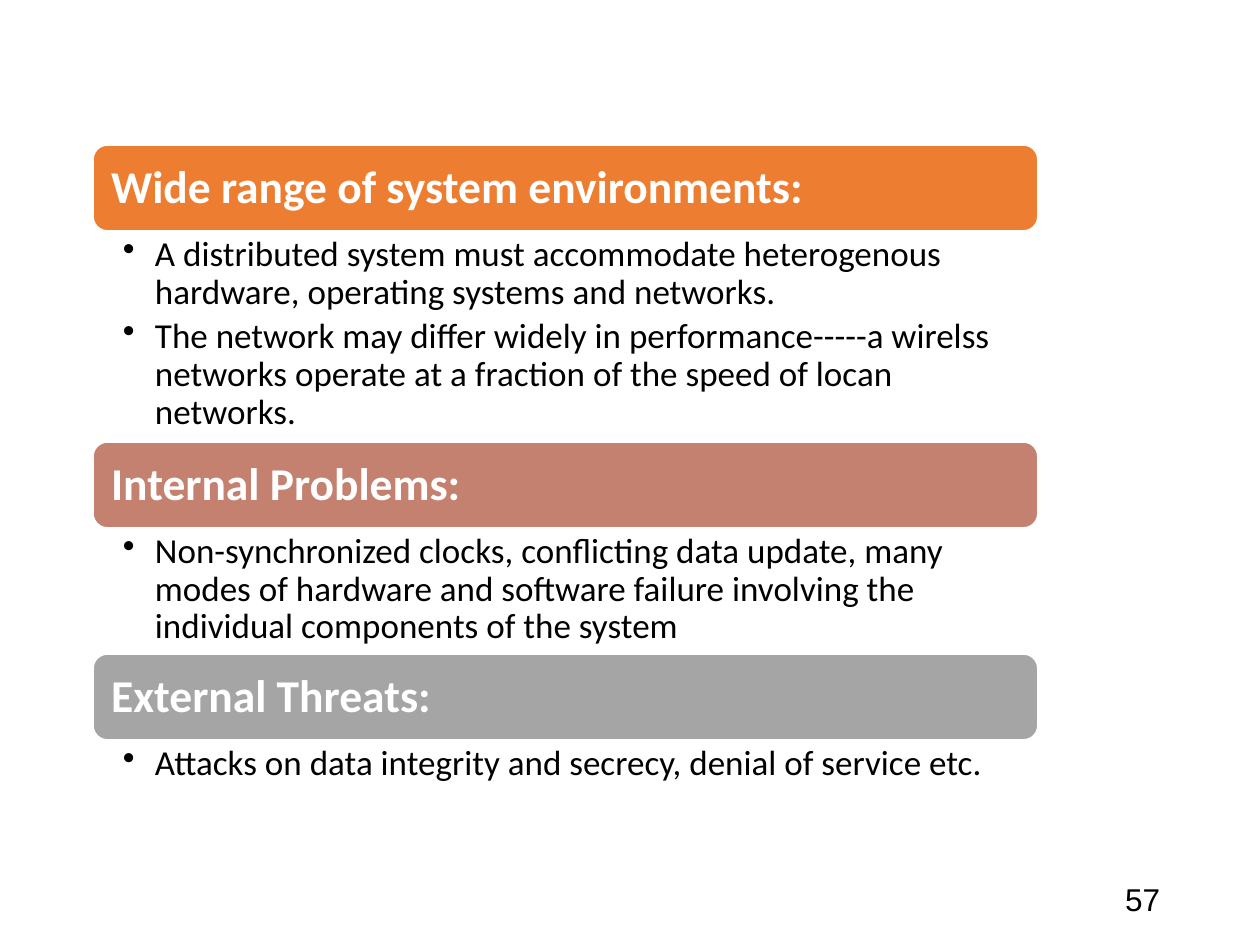
import pptx
import pptx.dml.color
import pptx.enum.shapes
import pptx.enum.text
import pptx.oxml.xmlchemy
import pptx.util
from lxml import etree

PX_PER_INCH = 126
COLORS = {
    "orange": "ED7D31",
    "clay": "C48170",
    "gray": "A5A5A5",
    "white": "FFFFFF",
    "black": "000000",
}
LEFT, TOP, WIDTH = 93, 145, 945
HEADING_HEIGHT = 86

# heading, bar colour, height of the bullet area, bullets
SECTIONS = [
    ("Wide range of system environments:", "orange", 211, [
        "A distributed system must accommodate heterogenous hardware, "
        "operating systems and networks.",
        "The network may differ widely in performance-----a wirelss networks "
        "operate at a fraction of the speed of locan networks.",
    ]),
    ("Internal Problems:", "clay", 126, [
        "Non-synchronized clocks, conflicting data update, many modes of "
        "hardware and software failure involving the individual components "
        "of the system",
    ]),
    ("External Threats:", "gray", 59, [
        "Attacks on data integrity and secrecy, denial of service etc.",
    ]),
]


def px(length):
    return pptx.util.Emu(round(length * 914400 / PX_PER_INCH))


def rgb(name):
    return pptx.dml.color.RGBColor.from_string(COLORS[name])


def add_bullet(paragraph, indent):
    """Give the paragraph a hanging bullet."""
    properties = paragraph._p.get_or_add_pPr()
    properties.set("marL", str(px(indent)))
    properties.set("indent", str(-px(indent)))
    namespace = properties.nsmap["a"]
    etree.SubElement(properties, f"{{{namespace}}}buChar", char="•")


def write_text(shape, lines, size, color="black", font="Calibri", bold=False,
               align="LEFT", anchor="TOP", insets=(13, 6, 13, 6),
               space_after=0, bullet_indent=None):
    """Fill the shape with one paragraph per line; insets run left, top, right, bottom."""
    frame = shape.text_frame
    frame.word_wrap = True
    frame.vertical_anchor = getattr(pptx.enum.text.MSO_ANCHOR, anchor)
    (frame.margin_left, frame.margin_top,
     frame.margin_right, frame.margin_bottom) = map(px, insets)
    for index, line in enumerate(lines):
        paragraph = frame.add_paragraph() if index else frame.paragraphs[0]
        paragraph.alignment = getattr(pptx.enum.text.PP_ALIGN, align)
        paragraph.line_spacing = 0.9
        paragraph.space_after = pptx.util.Pt(space_after)
        if bullet_indent:
            add_bullet(paragraph, bullet_indent)
        run = paragraph.add_run()
        run.text = line
        run.font.name = font
        run.font.size = pptx.util.Pt(size)
        run.font.bold = bold
        run.font.color.rgb = rgb(color)


def add_heading(slide, top, heading, color):
    bar = slide.shapes.add_shape(
        pptx.enum.shapes.MSO_SHAPE.ROUNDED_RECTANGLE,
        px(LEFT), px(top), px(WIDTH), px(HEADING_HEIGHT))
    bar.shadow.inherit = False
    bar.fill.solid()
    bar.fill.fore_color.rgb = rgb(color)
    bar.line.color.rgb = rgb("white")
    bar.line.width = pptx.util.Pt(1)
    write_text(bar, [heading], 26, color="white", bold=True, anchor="MIDDLE",
               insets=(14, 14, 14, 12))


def add_text_box(slide, left, top, width, height, lines, size, **text_format):
    box = slide.shapes.add_textbox(px(left), px(top), px(width), px(height))
    write_text(box, lines, size, **text_format)


def main():
    presentation = pptx.Presentation()
    presentation.slide_width = pptx.util.Inches(10)
    presentation.slide_height = pptx.util.Inches(7.5)
    slide = presentation.slides.add_slide(presentation.slide_layouts[6])

    top = TOP
    for heading, color, body_height, bullets in SECTIONS:
        add_heading(slide, top, heading, color)
        top += HEADING_HEIGHT
        add_text_box(slide, LEFT, top, WIDTH, body_height, bullets, 20,
                     insets=(30, 5, 25, 5), space_after=4, bullet_indent=32)
        top += body_height

    add_text_box(slide, 1038, 876, 135, 50, ["57"], 18, font="Arial",
                 align="RIGHT", anchor="MIDDLE")
    presentation.save("out.pptx")


if __name__ == "__main__":
    main()
